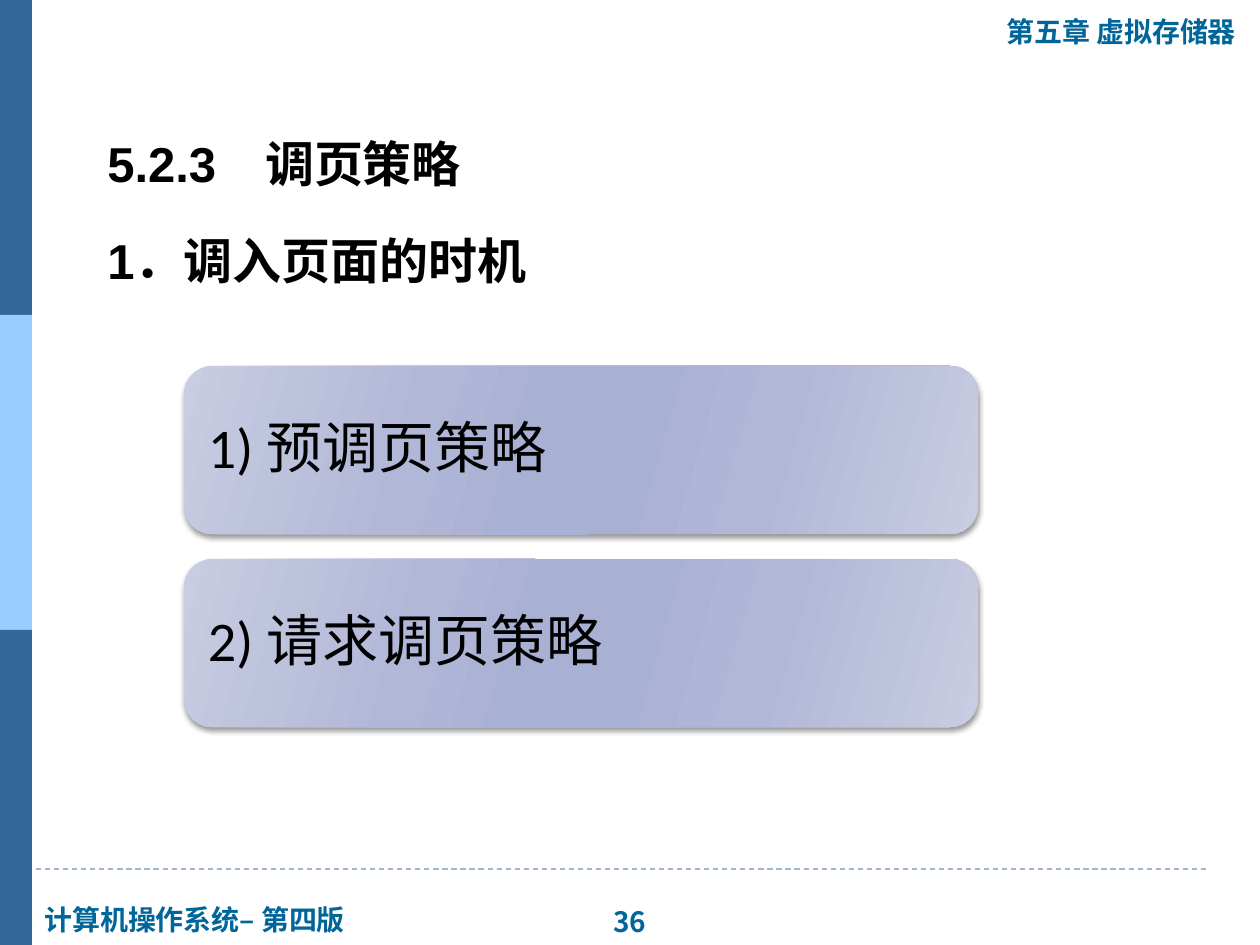
import dataclasses

import lxml.etree
import pptx
import pptx.dml.color
import pptx.enum.dml
import pptx.enum.shapes
import pptx.enum.text
import pptx.oxml.ns
import pptx.util

EMU_PER_PX = 914400 // 126
ALIGN = pptx.enum.text.PP_ALIGN
ANCHOR = pptx.enum.text.MSO_ANCHOR
FIT = pptx.enum.text.MSO_AUTO_SIZE
SHAPES = pptx.enum.shapes.MSO_SHAPE


@dataclasses.dataclass(frozen=True)
class Theme:
    dark_bar: str = "336699"
    light_bar: str = "99CCFF"
    footer_rule: str = "9FB8CD"
    label: str = "006699"
    body: str = "000000"
    card_stops: tuple = (
        (0, "C9CDE2"), (30, "B1B7D7"), (45, "A8B0D3"),
        (55, "A8B0D3"), (73, "B1B7D7"), (100, "C9CDE2"),
    )
    label_size: int = 16
    heading_size: int = 28
    card_size: int = 32


THEME = Theme()


def px(*lengths):
    return [pptx.util.Emu(length * EMU_PER_PX) for length in lengths]


def rgb(value):
    return pptx.dml.color.RGBColor.from_string(value)


def set_all(target, values):
    for name, value in values.items():
        setattr(target, name, value)


def add_element(parent, tag, **attributes):
    return lxml.etree.SubElement(parent, pptx.oxml.ns.qn(tag), attributes)


def add_text(slide, box, lines, font, color, frame_format, paragraph_format, gap=0):
    """Add one paragraph per line; gap is the space in points between them."""
    frame = slide.shapes.add_textbox(*px(*box)).text_frame
    set_all(frame, frame_format)
    for index, line in enumerate(lines):
        paragraph = frame.paragraphs[0] if index == 0 else frame.add_paragraph()
        set_all(paragraph, paragraph_format)
        if index:
            paragraph.space_before = pptx.util.Pt(gap)
        run = paragraph.add_run()
        run.text = line
        set_all(run.font, font)
        run.font.color.rgb = rgb(color)


def add_bar(slide, box, color):
    bar = slide.shapes.add_shape(SHAPES.RECTANGLE, *px(*box))
    bar.shadow.inherit = False
    bar.fill.solid()
    bar.fill.fore_color.rgb = rgb(color)
    bar.line.fill.background()


def add_footer_rule(slide, left, right, y):
    rule = slide.shapes.add_connector(
        pptx.enum.shapes.MSO_CONNECTOR.STRAIGHT, *px(left, y, right, y))
    rule.line.color.rgb = rgb(THEME.footer_rule)
    rule.line.width = pptx.util.Pt(0.75)
    rule.line.dash_style = pptx.enum.dml.MSO_LINE.DASH
    add_element(rule._element.spPr, "a:effectLst")


def add_label(slide, box, text, font_name, align=ALIGN.LEFT):
    font = {"name": font_name, "size": pptx.util.Pt(THEME.label_size), "bold": True}
    add_text(slide, box, [text], font, THEME.label,
             {"word_wrap": False, "auto_size": FIT.SHAPE_TO_FIT_TEXT},
             {"alignment": align})


def apply_card_gradient(card):
    card.fill.gradient()
    gradient = card._element.spPr.find(pptx.oxml.ns.qn("a:gradFill"))
    stops = gradient.find(pptx.oxml.ns.qn("a:gsLst"))
    for stop in list(stops):
        stops.remove(stop)
    for position, color in THEME.card_stops:
        stop = add_element(stops, "a:gs", pos=str(position * 1000))
        add_element(stop, "a:srgbClr", val=color)
    gradient.find(pptx.oxml.ns.qn("a:lin")).set("ang", str(16 * 60000))


def apply_card_shadow(card):
    card.shadow.inherit = False
    effects = card._element.spPr.find(pptx.oxml.ns.qn("a:effectLst"))
    shadow = add_element(
        effects, "a:outerShdw", blurRad=str(pptx.util.Pt(3)),
        dist=str(pptx.util.Pt(2)), dir=str(90 * 60000), rotWithShape="0")
    color = add_element(shadow, "a:srgbClr", val="000000")
    add_element(color, "a:alpha", val="40000")


def add_card(slide, left, top, width, height, text):
    card = slide.shapes.add_shape(
        SHAPES.ROUNDED_RECTANGLE, *px(left, top, width, height))
    apply_card_gradient(card)
    card.line.fill.background()
    apply_card_shadow(card)

    edge = 8
    inset = px(16)[0]
    frame_format = {
        "word_wrap": True, "vertical_anchor": ANCHOR.MIDDLE,
        "margin_left": inset, "margin_right": inset,
        "margin_top": inset, "margin_bottom": inset,
    }
    text_box = (left + edge, top + edge, width - 2 * edge, height - 2 * edge)
    font = {"name": "Calibri", "size": pptx.util.Pt(THEME.card_size)}
    add_text(slide, text_box, [text], font, THEME.body,
             frame_format, {"line_spacing": 0.9})


def add_headings(slide, lines):
    font = {"name": "Arial", "size": pptx.util.Pt(THEME.heading_size), "bold": True}
    add_text(slide, (95, 116, 630, 175), lines, font, THEME.body,
             {"word_wrap": True, "auto_size": FIT.SHAPE_TO_FIT_TEXT},
             {"alignment": ALIGN.JUSTIFY, "line_spacing": 1.2}, gap=15)


def main():
    deck = pptx.Presentation()
    deck.slide_width, deck.slide_height = px(1260, 945)
    slide = deck.slides.add_slide(deck.slide_layouts[6])

    add_footer_rule(slide, 0, 1208, 869)
    bar_height = 315
    for row, color in enumerate((THEME.dark_bar, THEME.light_bar, THEME.dark_bar)):
        add_bar(slide, (0, row * bar_height, 32, bar_height), color)

    add_label(slide, (32, 896, 334, 47), "计算机操作系统– 第四版", "Arial")
    add_label(slide, (596, 898, 68, 47), "36", "Noto Sans CJK JP", ALIGN.CENTER)
    add_label(slide, (994, 8, 261, 47), "第五章 虚拟存储器", "Arial")

    for row, strategy in enumerate(("1) 预调页策略", "2) 请求调页策略")):
        add_card(slide, 184, 366 + row * 193, 794, 168, strategy)
    add_headings(slide, ("5.2.3　调页策略", "1．调入页面的时机"))

    deck.save("out.pptx")


if __name__ == "__main__":
    main()
